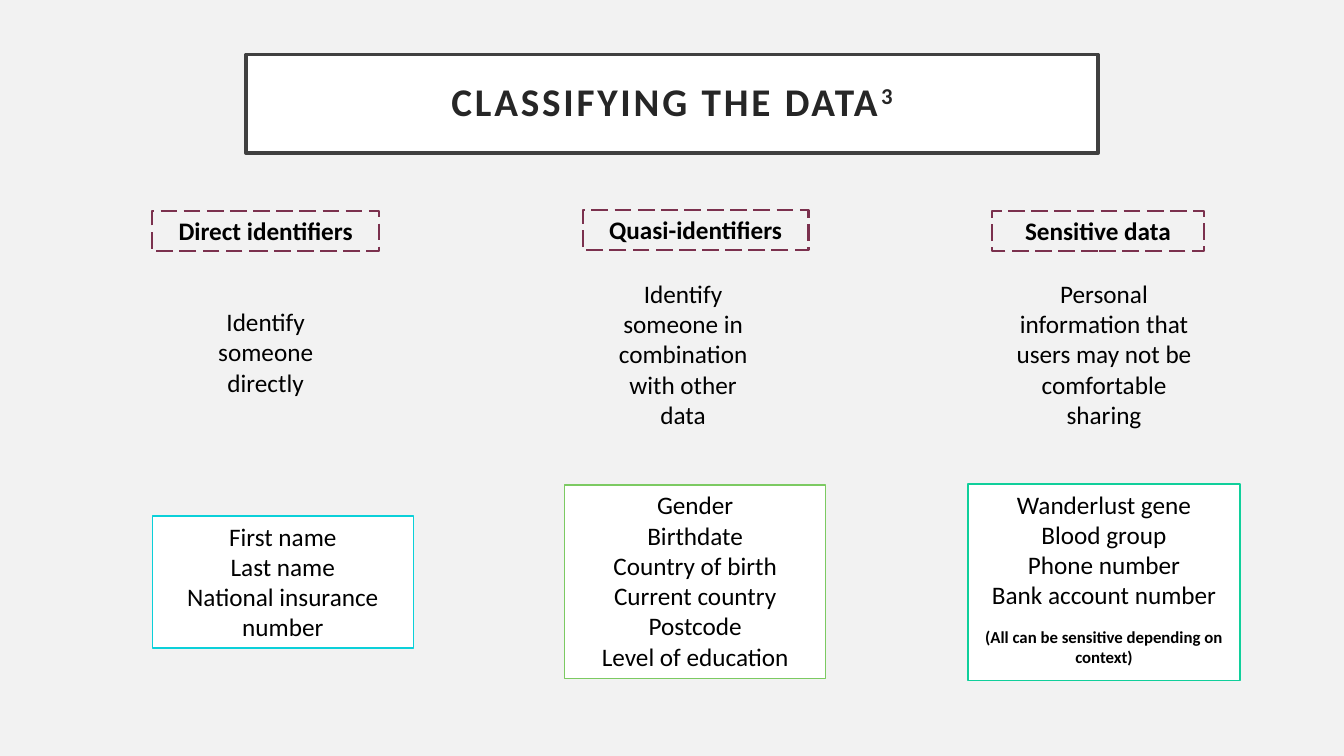
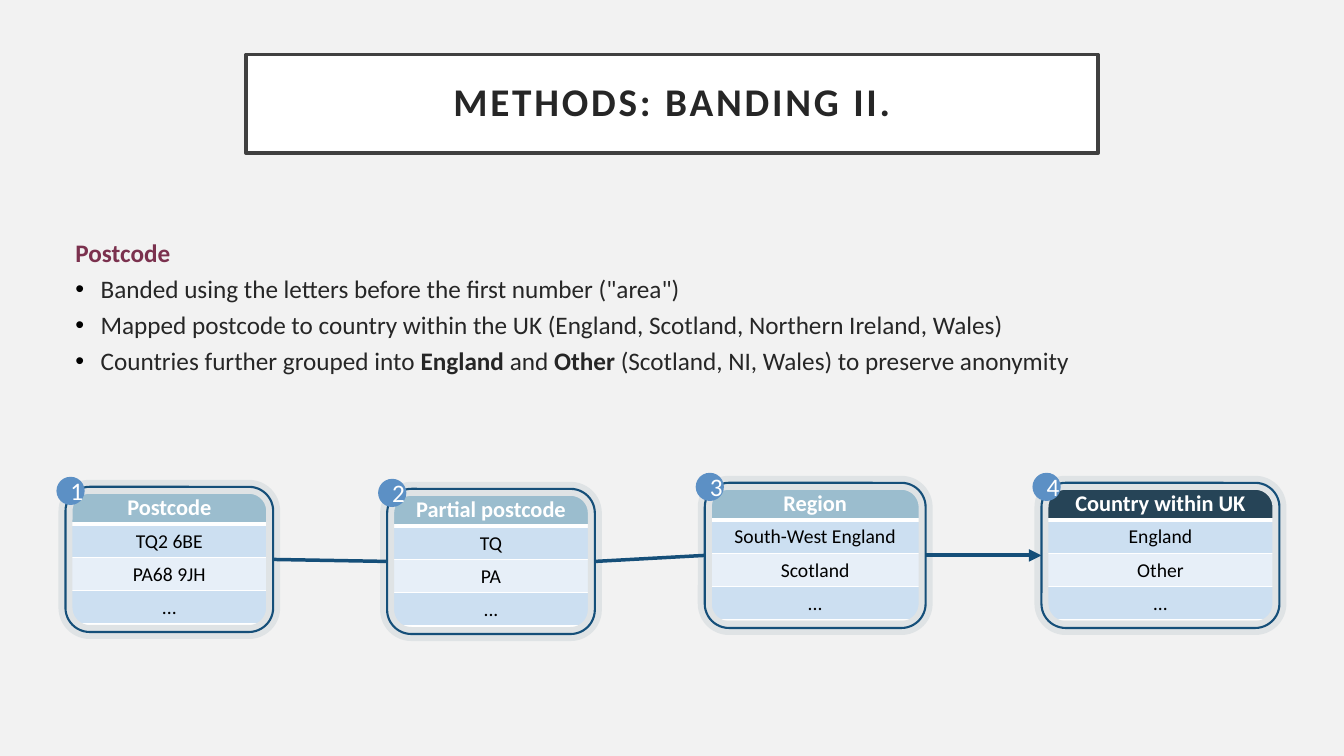
from itertools import pairwise

from lxml.etree import SubElement
from pptx import Presentation
from pptx.dml.color import RGBColor
from pptx.enum.dml import MSO_LINE
from pptx.enum.shapes import MSO_CONNECTOR, MSO_SHAPE
from pptx.enum.text import MSO_ANCHOR, PP_ALIGN
from pptx.oxml.ns import qn
from pptx.util import Inches, Pt

FONT = "Calibri"
BACKGROUND = RGBColor(0xF2, 0xF2, 0xF2)
WHITE = RGBColor(0xFF, 0xFF, 0xFF)
BLACK = RGBColor(0x00, 0x00, 0x00)
INK = RGBColor(0x26, 0x26, 0x26)
TITLE_LINE = RGBColor(0x40, 0x40, 0x40)
PLUM = RGBColor(0x7B, 0x31, 0x4E)
CYAN = RGBColor(0x0B, 0xD0, 0xD9)
GREEN = RGBColor(0x7C, 0xCA, 0x62)
TEAL = RGBColor(0x10, 0xCF, 0x9B)
HALO = RGBColor(0xDF, 0xE3, 0xE5)
NAVY = RGBColor(0x15, 0x4F, 0x79)
BADGE = RGBColor(0x5C, 0x90, 0xC5)
HEADER = RGBColor(0x9B, 0xBD, 0xCE)
HEADER_DARK = RGBColor(0x26, 0x44, 0x57)
ROW_FILLS = [RGBColor(0xCC, 0xDF, 0xF1), RGBColor(0xE7, 0xEF, 0xF8)]

# Content; every place is (left, top, width, height) in inches
COLUMNS = [
    {
        "label": ("Direct identifiers", (1.51, 2.09, 2.25, 0.4)),
        "meaning": ("Identify someone directly", (1.86, 2.99, 1.55, 1.01)),
        "examples": ["First name", "Last name", "National insurance number"],
        "place": (1.51, 5.12, 2.59, 1.31),
        "line": CYAN,
    },
    {
        "label": ("Quasi-identifiers", (5.78, 2.08, 2.24, 0.4)),
        "meaning": ("Identify someone in combination with other data",
                    (6, 2.71, 1.55, 1.62)),
        "examples": ["Gender", "Birthdate", "Country of birth",
                     "Current country", "Postcode", "Level of education"],
        "place": (5.6, 4.81, 2.59, 1.92),
        "line": GREEN,
    },
    {
        "label": ("Sensitive data", (9.84, 2.09, 2.1, 0.4)),
        "meaning": ("Personal information that users may not be comfortable sharing",
                    (9.96, 2.71, 1.98, 1.62)),
        "examples": ["Wanderlust gene", "Blood group", "Phone number",
                     "Bank account number"],
        "note": "(All can be sensitive depending on context)",
        "place": (9.6, 4.8, 2.7, 1.95),
        "line": TEAL,
    },
]

# Bullets as (text, bold) spans
BULLETS = [
    [('Banded using the letters before the first number ("area")', False)],
    [("Mapped postcode to country within the UK "
      "(England, Scotland, Northern Ireland, Wales)", False)],
    [("Countries further grouped into ", False), ("England", True),
     (" and ", False), ("Other ", True),
     ("(Scotland, NI, Wales) to\u00a0preserve anonymity", False)],
]

# Cards as (left, top, width, header colour, rows)
CARDS = [
    (0.65, 4.83, 2.06, HEADER, ["Postcode", "TQ2 6BE", "PA68 9JH", "..."]),
    (3.84, 4.85, 2.06, HEADER, ["Partial postcode", "TQ", "PA", "..."]),
    (6.99, 4.79, 2.19, HEADER, ["Region", "South-West England", "Scotland", "..."]),
    (10.33, 4.79, 2.36, HEADER_DARK, ["Country within UK", "England", "Other", "…"]),
]
CARD_HEIGHT, ROW_HEIGHT, BADGE_SIZE = 1.44, 0.33, 0.28


def inches(*lengths):
    return [Inches(length) for length in lengths]


def add_span(para, text, size=18, color=BLACK, bold=False):
    span = para.add_run()
    span.text = text
    span.font.name = FONT
    span.font.size = Pt(size)
    span.font.bold = bold
    span.font.color.rgb = color
    return span


def add_box(shapes, kind, place, fill=None, line=None, width=1):
    box = shapes.add_shape(kind, *inches(*place))
    box.shadow.inherit = False
    if fill is None:
        box.fill.background()
    else:
        box.fill.solid()
        box.fill.fore_color.rgb = fill
    if line is None:
        box.line.fill.background()
    else:
        box.line.color.rgb = line
        box.line.width = Pt(width)
    return box


def write_lines(box, lines, anchor=MSO_ANCHOR.TOP, **style):
    frame = box.text_frame
    frame.word_wrap = True
    frame.vertical_anchor = anchor
    for index, line in enumerate(lines):
        para = frame.paragraphs[0] if index == 0 else frame.add_paragraph()
        para.alignment = PP_ALIGN.CENTER
        add_span(para, line, **style)
    return frame


def add_page(deck, title, superscript=""):
    page = deck.slides.add_slide(deck.slide_layouts[6])
    page.background.fill.solid()
    page.background.fill.fore_color.rgb = BACKGROUND
    box = add_box(page.shapes, MSO_SHAPE.RECTANGLE, (2.44, 0.54, 8.45, 0.98),
                  WHITE, TITLE_LINE, 2.5)
    frame = box.text_frame
    frame.word_wrap = True
    frame.vertical_anchor = MSO_ANCHOR.MIDDLE
    frame.margin_left = frame.margin_right = Inches(0.2)
    frame.margin_top = frame.margin_bottom = Inches(0.2)
    para = frame.paragraphs[0]
    para.alignment = PP_ALIGN.CENTER
    para.line_spacing = 0.9
    for text, baseline in [(title, "0"), (superscript, "30000")]:
        if text:
            properties = add_span(para, text, 28, INK, True)._r.get_or_add_rPr()
            properties.set("spc", "200")
            properties.set("baseline", baseline)
    return page


def add_column(page, column):
    shapes = page.shapes.add_group_shape().shapes
    text, place = column["label"]
    label = add_box(shapes, MSO_SHAPE.RECTANGLE, place, line=PLUM, width=1.5)
    label.line.dash_style = MSO_LINE.LONG_DASH
    write_lines(label, [text], bold=True)

    examples = add_box(shapes, MSO_SHAPE.RECTANGLE, column["place"],
                       WHITE, column["line"])
    frame = write_lines(examples, column["examples"])
    if "note" in column:
        para = frame.add_paragraph()
        para.alignment = PP_ALIGN.CENTER
        para.space_before = Pt(12)
        add_span(para, column["note"], 12, bold=True)

    text, place = column["meaning"]
    write_lines(shapes.add_textbox(*inches(*place)), [text])


def add_bullets(page, heading, bullets):
    frame = page.shapes.add_textbox(*inches(0.65, 2.31, 11.63, 1.6)).text_frame
    frame.word_wrap = True
    add_span(frame.paragraphs[0], heading, color=PLUM, bold=True)
    for spans in bullets:
        para = frame.add_paragraph()
        para.space_before = Pt(4)
        properties = para._p.get_or_add_pPr()
        properties.set("marL", str(Inches(0.25)))
        properties.set("indent", str(-Inches(0.25)))
        color = SubElement(properties, qn("a:buClr"))
        SubElement(color, qn("a:srgbClr"), val=str(BLACK))
        SubElement(properties, qn("a:buFont"), typeface="Arial")
        SubElement(properties, qn("a:buChar"), char="•")
        for text, bold in spans:
            add_span(para, text, color=INK, bold=bold)


def set_borders(cell, bottom):
    properties = cell._tc.get_or_add_tcPr()
    for side, width in [("L", 1), ("R", 1), ("T", 1), ("B", bottom)]:
        line = SubElement(properties, qn(f"a:ln{side}"), w=str(Pt(width)))
        fill = SubElement(line, qn("a:solidFill"))
        SubElement(fill, qn("a:srgbClr"), val=str(WHITE))


def add_card(page, left, top, width, header, rows):
    place = (left + 0.06, top + 0.04, width - 0.12, ROW_HEIGHT * len(rows))
    table = page.shapes.add_table(len(rows), 1, *inches(*place)).table
    table.horz_banding = False
    for index, text in enumerate(rows):
        is_header = index == 0
        table.rows[index].height = Inches(ROW_HEIGHT)
        cell = table.cell(index, 0)
        set_borders(cell, 3 if is_header else 1)
        cell.fill.solid()
        cell.fill.fore_color.rgb = header if is_header else ROW_FILLS[(index - 1) % 2]
        cell.vertical_anchor = MSO_ANCHOR.MIDDLE
        cell.margin_left = cell.margin_right = cell.margin_top = Inches(0.01)
        cell.margin_bottom = 0
        para = cell.text_frame.paragraphs[0]
        para.alignment = PP_ALIGN.CENTER
        if is_header:
            add_span(para, text, 16, WHITE, True)
        else:
            add_span(para, text, 14)

    # A wide pale outline rounds the table off under the thin dark one
    for color, line_width in [(HALO, 10), (NAVY, 1.5)]:
        outline = add_box(page.shapes, MSO_SHAPE.ROUNDED_RECTANGLE,
                          (left, top, width, CARD_HEIGHT),
                          line=color, width=line_width)
    return outline


def add_link(page, start, end, width, arrow):
    link = page.shapes.add_connector(MSO_CONNECTOR.STRAIGHT, 0, 0, 0, 0)
    link.begin_connect(start, 3)
    link.end_connect(end, 1)
    link.line.color.rgb = NAVY
    link.line.width = Pt(width)
    properties = link._element.spPr
    if arrow:
        SubElement(properties.find(qn("a:ln")), qn("a:tailEnd"), type="triangle")
    SubElement(properties, qn("a:effectLst"))


def add_badge(page, number, left, top):
    badge = add_box(page.shapes, MSO_SHAPE.OVAL,
                    (left - 0.09, top - 0.1, BADGE_SIZE, BADGE_SIZE), BADGE)
    write_lines(badge, [str(number)], MSO_ANCHOR.MIDDLE, color=WHITE)


def main():
    deck = Presentation()
    deck.slide_width, deck.slide_height = inches(13.33, 7.5)

    # Classes of data
    page = add_page(deck, "CLASSIFYING THE DATA", "3")
    for column in COLUMNS:
        add_column(page, column)

    # Banding of postcodes
    page = add_page(deck, "METHODS: BANDING II.")
    add_bullets(page, "Postcode", BULLETS)
    outlines = [add_card(page, *card) for card in CARDS]
    for start, end in pairwise(outlines):
        is_last = end is outlines[-1]
        add_link(page, start, end, 3 if is_last else 2.5, is_last)
    for number, (left, top, *_) in enumerate(CARDS, 1):
        add_badge(page, number, left, top)

    deck.save("out.pptx")


if __name__ == "__main__":
    main()
